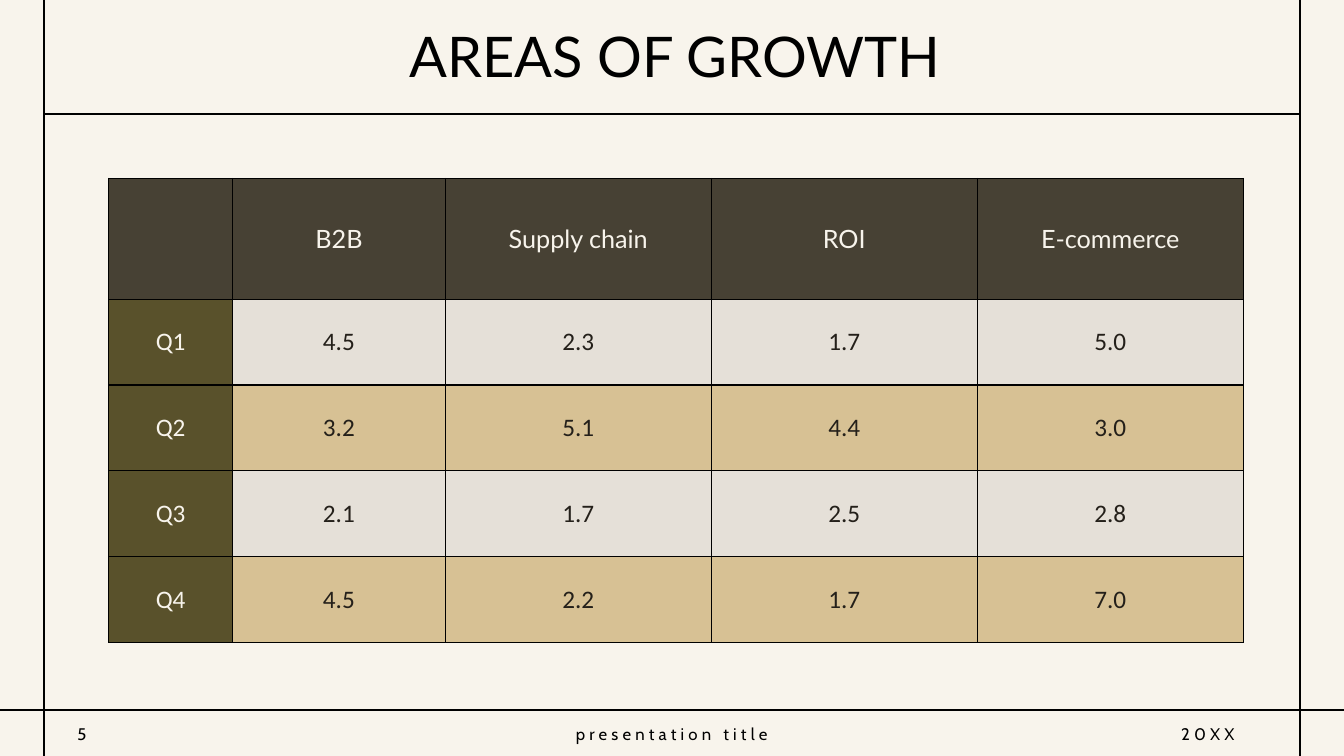
from lxml.etree import SubElement
from pptx import Presentation
from pptx.dml.color import RGBColor
from pptx.enum.shapes import MSO_CONNECTOR
from pptx.enum.text import MSO_ANCHOR, MSO_AUTO_SIZE, PP_ALIGN
from pptx.oxml.ns import qn
from pptx.util import Pt

BLACK = RGBColor(0x00, 0x00, 0x00)
CREAM = RGBColor(0xF8, 0xF4, 0xEC)
INK = RGBColor(0x24, 0x20, 0x1A)
HEADER = RGBColor(0x47, 0x41, 0x34)
OLIVE = RGBColor(0x59, 0x51, 0x2B)
STONE = RGBColor(0xE5, 0xE0, 0xD8)
SAND = RGBColor(0xD7, 0xC1, 0x94)

WIDTH, HEIGHT = 960, 540
LEFT_RULE, RIGHT_RULE = 31.5, 928.5
TITLE_RULE, FOOTER_RULE = 81.4, 507
COLUMN_WIDTHS = [88.5, 152, 190, 190, 190]
ROW_HEIGHTS = [86.2] + [61.3] * 4
GROWTH = [
    ["", "B2B", "Supply chain", "ROI", "E-commerce"],
    ["Q1", "4.5", "2.3", "1.7", "5.0"],
    ["Q2", "3.2", "5.1", "4.4", "3.0"],
    ["Q3", "2.1", "1.7", "2.5", "2.8"],
    ["Q4", "4.5", "2.2", "1.7", "7.0"],
]


class GrowthPage:
    title_font, label_font, footer_font = "Lato", "Calibri", "Cabin"

    def __init__(self, deck):
        self.page = deck.slides.add_slide(deck.slide_layouts[5])
        fill = self.page.background.fill
        fill.solid()
        fill.fore_color.rgb = CREAM

    def add_span(self, para, text, font, size, color, align=PP_ALIGN.CENTER):
        para.alignment = align
        span = para.add_run()
        span.text = text
        span.font.name = font
        span.font.size = Pt(size)
        span.font.color.rgb = color
        return span

    def rule(self, x1, y1, x2, y2):
        line = self.page.shapes.add_connector(
            MSO_CONNECTOR.STRAIGHT, Pt(x1), Pt(y1), Pt(x2), Pt(y2))
        line.line.color.rgb = BLACK
        line.line.width = Pt(1.25)
        SubElement(line._element.spPr, qn("a:effectLst"))

    def title(self, text, left, top, width, height):
        box = self.page.shapes.title
        box.left, box.top = Pt(left), Pt(top)
        box.width, box.height = Pt(width), Pt(height)
        frame = box.text_frame
        frame.auto_size = MSO_AUTO_SIZE.NONE
        frame.vertical_anchor = MSO_ANCHOR.MIDDLE
        para = frame.paragraphs[0]
        para.line_spacing = 0.9
        self.add_span(para, text, self.title_font, 40, BLACK)

    def footer(self, text, left, width, align):
        box = self.page.shapes.add_textbox(Pt(left), Pt(513.4), Pt(width), Pt(21.6))
        frame = box.text_frame
        frame.word_wrap = True
        frame.vertical_anchor = MSO_ANCHOR.MIDDLE
        span = self.add_span(frame.paragraphs[0], text, self.footer_font, 12, BLACK, align)
        span.font._element.set("spc", "300")

    def border(self, cell):
        properties = cell._tc.get_or_add_tcPr()
        for position, side in enumerate(("lnL", "lnR", "lnT", "lnB")):
            edge = properties.makeelement(qn(f"a:{side}"), {"w": str(Pt(1))})
            solid = SubElement(edge, qn("a:solidFill"))
            SubElement(solid, qn("a:srgbClr"), val=str(BLACK))
            properties.insert(position, edge)

    def cell_style(self, row, column):
        if row == 0:
            return HEADER, CREAM, self.title_font
        if column == 0:
            return OLIVE, CREAM, self.label_font
        return (STONE if row % 2 else SAND), INK, self.label_font

    def table(self, rows, left, top):
        table = self.page.shapes.add_table(
            len(rows), len(COLUMN_WIDTHS), Pt(left), Pt(top),
            Pt(sum(COLUMN_WIDTHS)), Pt(sum(ROW_HEIGHTS))).table
        for column, width in zip(table.columns, COLUMN_WIDTHS):
            column.width = Pt(width)
        for row, height in zip(table.rows, ROW_HEIGHTS):
            row.height = Pt(height)
        for r, values in enumerate(rows):
            for c, text in enumerate(values):
                cell = table.cell(r, c)
                background, color, font = self.cell_style(r, c)
                cell.fill.solid()
                cell.fill.fore_color.rgb = background
                cell.vertical_anchor = MSO_ANCHOR.MIDDLE
                self.border(cell)
                if text:
                    span = self.add_span(cell.text_frame.paragraphs[0], text, font, 18, color)
                    span.font.bold = False


def main():
    deck = Presentation()
    deck.slide_width, deck.slide_height = Pt(WIDTH), Pt(HEIGHT)
    page = GrowthPage(deck)
    page.rule(LEFT_RULE, TITLE_RULE, RIGHT_RULE, TITLE_RULE)
    page.rule(0, FOOTER_RULE, WIDTH, FOOTER_RULE)
    for x in (LEFT_RULE, RIGHT_RULE):
        page.rule(x, HEIGHT, x, 0)
    page.title("AREAS OF GROWTH", 160.5, 4.3, 643, 76.3)
    page.table(GROWTH, 77.6, 127.5)
    page.footer("5", 48.2, 75, PP_ALIGN.LEFT)
    page.footer("presentation title", 378.7, 202.4, PP_ALIGN.CENTER)
    page.footer("20XX", 836.6, 75, PP_ALIGN.LEFT)
    deck.save("out.pptx")


if __name__ == "__main__":
    main()
